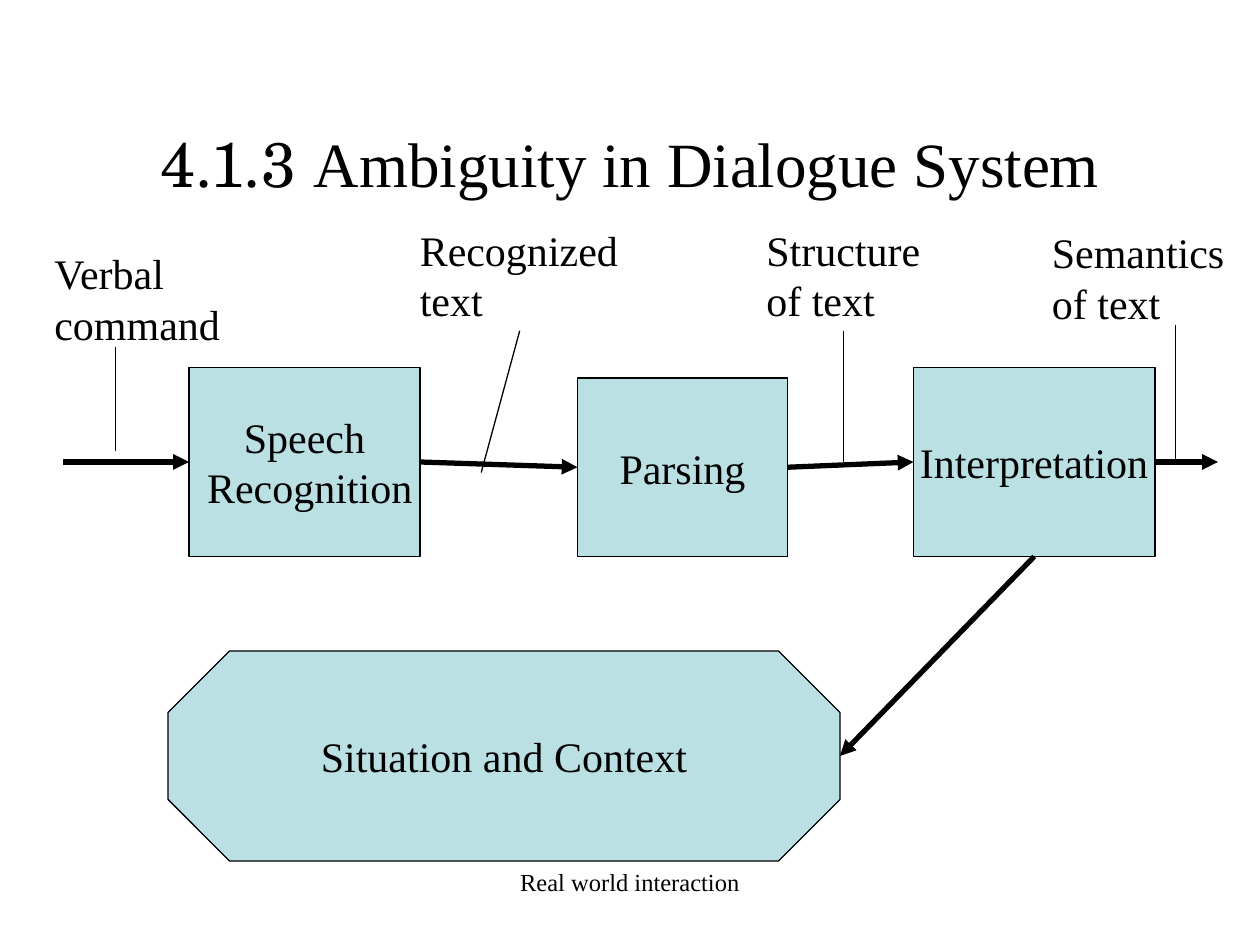
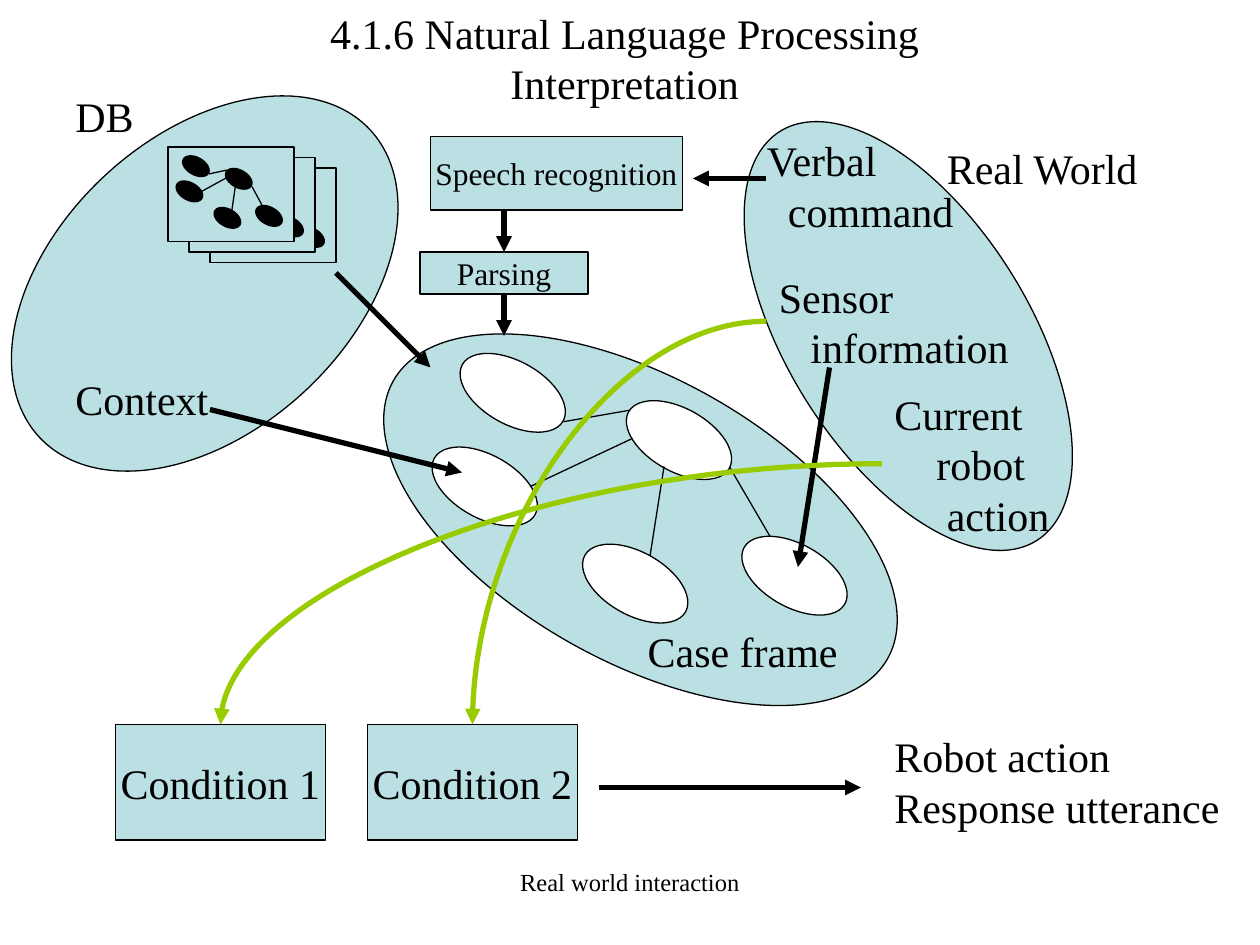
import pptx
import pptx.dml.color
import pptx.enum.shapes
import pptx.enum.text
import pptx.util
from lxml import etree
from pptx.oxml.ns import qn

Pt = pptx.util.Pt
SHAPE = pptx.enum.shapes.MSO_SHAPE
CONNECTOR = pptx.enum.shapes.MSO_CONNECTOR
ALIGN = pptx.enum.text.PP_ALIGN
ANCHOR = pptx.enum.text.MSO_ANCHOR

BLACK = pptx.dml.color.RGBColor(0x00, 0x00, 0x00)
WHITE = pptx.dml.color.RGBColor(0xFF, 0xFF, 0xFF)
PALE_BLUE = pptx.dml.color.RGBColor(0xBB, 0xE0, 0xE3)
GREEN = pptx.dml.color.RGBColor(0x99, 0xCC, 0x00)
BODY_FONT = "Times New Roman"
NUMBER_FONT = "TeX Gyre Schola"

FOOTER = "Real world interaction"
FOOTER_BOX = (246, 492, 228, 36)
THIN, THICK = 0.75, 3
TILT = 29.3
LABEL_HEIGHT, LINE_STEP = 36, 28.8


def add_box(slide, box, text="", kind=None, fill=PALE_BLUE, rotation=0, size=24,
            align=ALIGN.CENTER, anchor=ANCHOR.MIDDLE, indents=(), number=""):
    lengths = [Pt(length) for length in box]
    if kind is None:
        shape = slide.shapes.add_textbox(*lengths)
    else:
        shape = slide.shapes.add_shape(kind, *lengths)
        shape.shadow.inherit = False
        shape.fill.solid()
        shape.fill.fore_color.rgb = fill
        shape.line.color.rgb = BLACK
        shape.line.width = Pt(THIN)
        shape.rotation = rotation
    if not text:
        return shape
    frame = shape.text_frame
    frame.word_wrap = kind is None
    frame.vertical_anchor = anchor
    for index, line in enumerate(text.split("\n")):
        paragraph = frame.add_paragraph() if index else frame.paragraphs[0]
        paragraph.alignment = align
        if index < len(indents):
            properties = paragraph._p.get_or_add_pPr()
            properties.set("marL", str(Pt(indents[index])))
            properties.set("indent", "0")
        for words, font_name in ((number, NUMBER_FONT), (line, BODY_FONT)):
            if words:
                run = paragraph.add_run()
                run.text = words
                run.font.name = font_name
                run.font.size = Pt(size)
                run.font.color.rgb = BLACK
    return shape


def add_line(slide, ends, width=THIN, color=BLACK, arrow=False, curved=False):
    kind = CONNECTOR.CURVE if curved else CONNECTOR.STRAIGHT
    connector = slide.shapes.add_connector(kind, *[Pt(length) for length in ends])
    connector.line.color.rgb = color
    connector.line.width = Pt(width)
    properties = connector._element.spPr
    if curved:
        properties.find(qn("a:prstGeom")).set("prst", "curvedConnector2")
    if arrow:
        etree.SubElement(properties.find(qn("a:ln")), qn("a:tailEnd"), type="triangle")
    etree.SubElement(properties, qn("a:effectLst"))


presentation = pptx.Presentation()
presentation.slide_width = Pt(720)
presentation.slide_height = Pt(540)
blank_layout = presentation.slide_layouts[6]

slide = presentation.slides.add_slide(blank_layout)
add_box(slide, (54, 48, 612, 90), "Ambiguity in Dialogue System", size=36, number="4.1.3 ")

stages = [
    ("Speech\nRecognition", (108, 210, 132, 108), (0, 6)),
    ("Parsing", (330, 216, 120, 102), ()),
    ("Interpretation", (522, 210, 138, 108), ()),
]
for text, box, indents in stages:
    add_box(slide, box, text, SHAPE.RECTANGLE, indents=indents)

context = add_box(slide, (96, 372, 384, 120), "Situation and Context", SHAPE.OCTAGON)
context.adjustments[0] = 0.293

flows = [
    (36, 264, 108, 264),
    (240, 264, 330, 267),
    (450, 267, 522, 264),
    (660, 264, 696, 264),
    (591, 318, 480, 432),
]
for ends in flows:
    add_line(slide, ends, THICK, arrow=True)

flow_labels = [
    ("Verbal\ncommand", 24, 138, 116, (66, 198, 66, 258)),
    ("Recognized\ntext", 232.8, 124.5, 136, (297, 189, 275, 270)),
    ("Structure\nof text", 430.8, 124.5, 110, (482, 189, 482, 264)),
    ("Semantics\nof text", 594, 126, 120, (671.75, 186, 671.75, 264)),
]
for text, left, top, width, leader in flow_labels:
    add_box(slide, (left, top, width, LABEL_HEIGHT + LINE_STEP), text,
            align=ALIGN.LEFT, anchor=ANCHOR.TOP)
    add_line(slide, leader)
add_box(slide, FOOTER_BOX, FOOTER, size=14, anchor=ANCHOR.TOP)

slide = presentation.slides.add_slide(blank_layout)
add_box(slide, (-3, -12, 720, 90), "4.1.6 Natural Language Processing\nInterpretation")

regions = [
    ((-12, 78, 258, 168), 317.1),
    ((204, 216, 324, 162), TILT),
    ((381, 123, 276, 138), 57.9),
]
for box, rotation in regions:
    add_box(slide, box, kind=SHAPE.OVAL, rotation=rotation)

case_nodes = [(260, 206.5), (244, 260), (330, 315.5), (355, 233.5), (421, 311)]
for left, top in case_nodes:
    add_box(slide, (left, top, 66, 36), kind=SHAPE.OVAL, fill=WHITE, rotation=TILT)
case_links = [
    (322, 241, 359.5, 234.5),
    (361.5, 250.5, 303, 278),
    (379.5, 266.5, 371.5, 317.5),
    (417, 267, 440, 306.5),
]
for ends in case_links:
    add_line(slide, ends)

boxes = [
    ("Speech recognition", (246, 78, 144, 42), 18),
    ("Parsing", (240, 144, 96, 24), 18),
    ("Condition 1", (66, 414, 120, 66), 24),
    ("Condition 2", (210, 414, 120, 66), 24),
]
for text, box, size in boxes:
    add_box(slide, box, text, SHAPE.RECTANGLE, size=size)

front_left, front_top = 96, 84
front_dots = [(7.7, 6), (4, 20.4), (25.7, 35.5), (32.2, 13.2), (49.5, 34.4)]
for depth in (2, 1, 0):
    card_left, card_top = front_left + 12 * depth, front_top + 6 * depth
    add_box(slide, (card_left, card_top, 72, 54), kind=SHAPE.RECTANGLE)
    for left, top in front_dots[-1:] if depth else front_dots:
        add_box(slide, (card_left + left, card_top + top, 16.5, 10),
                kind=SHAPE.OVAL, fill=BLACK, rotation=TILT)
card_links = [
    (119.5, 99.4, 129.6, 97.2),
    (129.6, 101.5, 115.2, 109.4),
    (134.6, 105.8, 132.5, 120.2),
    (144, 106.6, 149.8, 117.4),
]
for ends in card_links:
    add_line(slide, ends)

labels = [
    ("DB", 36, 48, 56, ()),
    ("Context", 36, 210, 98, ()),
    ("Case frame", 363, 354, 132, ()),
    ("Real World", 534, 78, 134, ()),
    ("Verbal\ncommand", 431.2, 73.5, 130, (0, 12)),
    ("Sensor\ninformation", 438, 151.4, 154, (0, 18)),
    ("Current\nrobot\naction", 504, 218.4, 112, (0, 24, 30)),
    ("Robot action\nResponse utterance", 504, 414, 210, ()),
]
for text, left, top, width, indents in labels:
    height = LABEL_HEIGHT + LINE_STEP * text.count("\n")
    add_box(slide, (left, top, width, height), text, align=ALIGN.LEFT,
            anchor=ANCHOR.TOP, indents=indents)

arrows = [
    (438, 102, 396, 102),
    (288, 120, 288, 144),
    (288, 168, 288, 192),
    (192, 156, 246, 210),
    (120, 234, 264, 270),
    (342, 450, 492, 450),
    (474, 210, 456, 324),
]
for ends in arrows:
    add_line(slide, ends, THICK, arrow=True)
for ends in [(504, 265, 126, 414), (438, 183.6, 270, 414)]:
    add_line(slide, ends, THICK, GREEN, arrow=True, curved=True)
add_box(slide, FOOTER_BOX, FOOTER, size=14, anchor=ANCHOR.TOP)

presentation.save("out.pptx")
